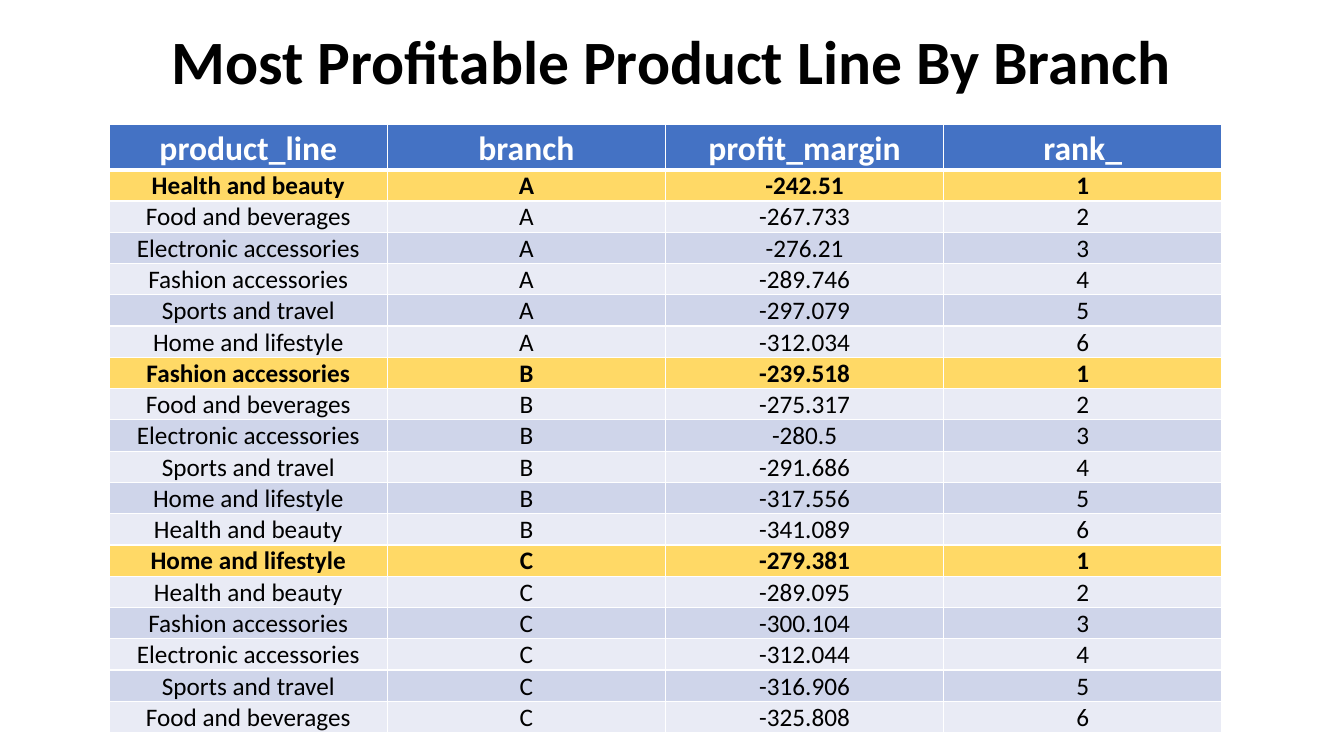
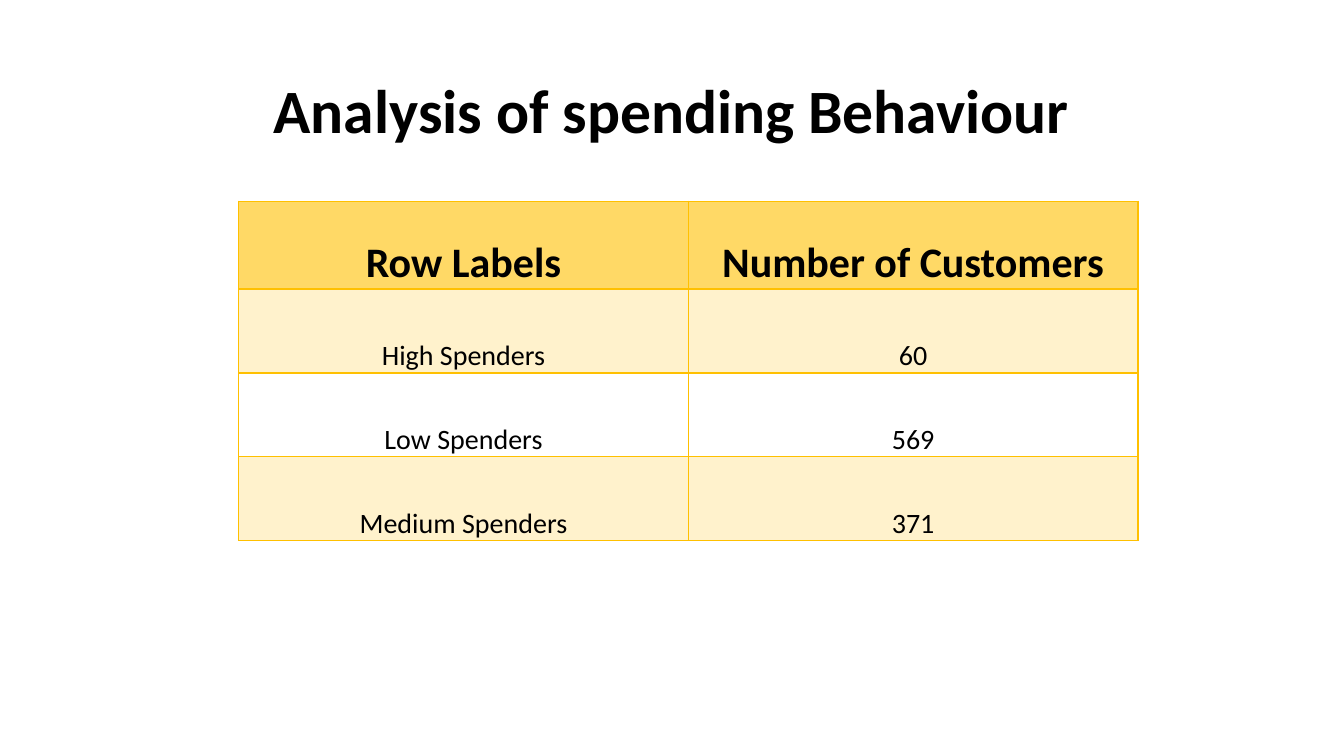
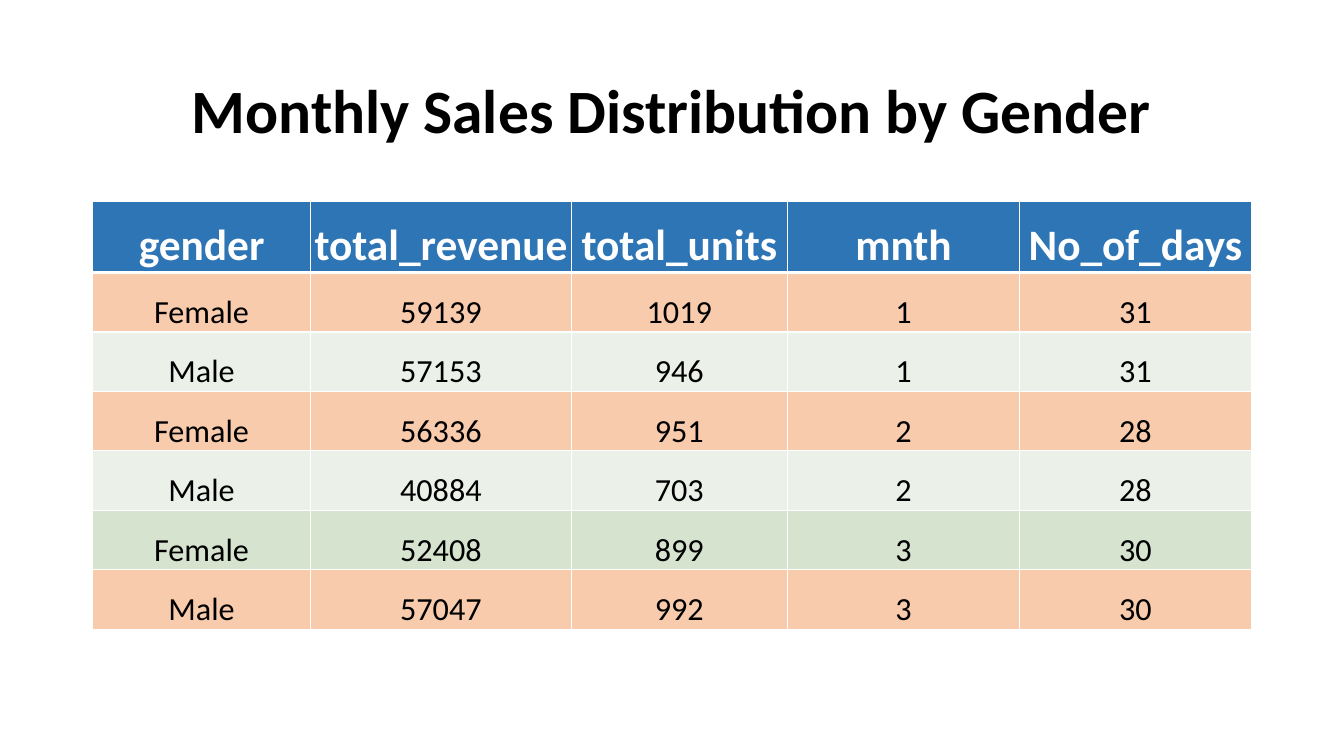
from dataclasses import dataclass
from typing import NamedTuple, Optional

from lxml import etree
from pptx import Presentation
from pptx.dml.color import RGBColor
from pptx.enum import text
from pptx.oxml import ns
from pptx.util import Pt

FONT = "Calibri"
BLACK = RGBColor(0x00, 0x00, 0x00)
WHITE = RGBColor(0xFF, 0xFF, 0xFF)
BLUE = RGBColor(0x44, 0x72, 0xC4)
DEEP_BLUE = RGBColor(0x2E, 0x75, 0xB6)
PALE_BLUE = RGBColor(0xE9, 0xEB, 0xF5)
SOFT_BLUE = RGBColor(0xCF, 0xD5, 0xEA)
GOLD = RGBColor(0xFF, 0xD9, 0x66)
AMBER = RGBColor(0xFF, 0xC0, 0x00)
PEACH = RGBColor(0xF8, 0xCB, 0xAD)
PALE_GREEN = RGBColor(0xEB, 0xF1, 0xE9)
SOFT_GREEN = RGBColor(0xD5, 0xE3, 0xCF)

TITLE_LEFT, TITLE_WIDTH = 66, 828
CELL_FORMAT = {
    "margin_left": Pt(0.72),
    "margin_right": Pt(0.72),
    "margin_top": Pt(0.72),
    "margin_bottom": Pt(0),
    "vertical_anchor": text.MSO_ANCHOR.BOTTOM,
}


class RowStyle(NamedTuple):
    fill: Optional[RGBColor]
    bold: bool = False
    opacity: int = 100


@dataclass
class TableSlide:
    title: str
    title_top: float
    title_height: float
    left: float
    top: float
    column_widths: list[float]
    header_height: float
    row_height: float
    header_fill: RGBColor
    header_color: RGBColor
    header_size: float
    body_size: float
    border: RGBColor
    header_rule: float
    header: list[str]
    rows: list[list[str]]
    row_styles: list[RowStyle]


BEST, PALE, SOFT = RowStyle(GOLD, bold=True), RowStyle(PALE_BLUE), RowStyle(SOFT_BLUE)
TINT, CLEAR = RowStyle(AMBER, opacity=20), RowStyle(None)
WARM, LIGHT, GREEN = RowStyle(PEACH), RowStyle(PALE_GREEN), RowStyle(SOFT_GREEN)

# Product lines of each branch, from most to least profitable
BRANCH_MARGINS = {
    "A": [
        ("Health and beauty", "-242.51"),
        ("Food and beverages", "-267.733"),
        ("Electronic accessories", "-276.21"),
        ("Fashion accessories", "-289.746"),
        ("Sports and travel", "-297.079"),
        ("Home and lifestyle", "-312.034"),
    ],
    "B": [
        ("Fashion accessories", "-239.518"),
        ("Food and beverages", "-275.317"),
        ("Electronic accessories", "-280.5"),
        ("Sports and travel", "-291.686"),
        ("Home and lifestyle", "-317.556"),
        ("Health and beauty", "-341.089"),
    ],
    "C": [
        ("Home and lifestyle", "-279.381"),
        ("Health and beauty", "-289.095"),
        ("Fashion accessories", "-300.104"),
        ("Electronic accessories", "-312.044"),
        ("Sports and travel", "-316.906"),
        ("Food and beverages", "-325.808"),
    ],
}

SLIDES = [
    TableSlide(
        title="Most Profitable Product Line By Branch",
        title_top=14.4, title_height=63.4,
        left=78, top=88.8, column_widths=[198.7] * 4,
        header_height=32.4, row_height=22.1,
        header_fill=BLUE, header_color=WHITE, header_size=24, body_size=18,
        border=WHITE, header_rule=3,
        header=["product_line", "branch", "profit_margin", "rank_"],
        rows=[
            [line, branch, margin, str(rank)]
            for branch, margins in BRANCH_MARGINS.items()
            for rank, (line, margin) in enumerate(margins, start=1)
        ],
        row_styles=[BEST, PALE, SOFT, PALE, SOFT, PALE] * len(BRANCH_MARGINS),
    ),
    TableSlide(
        title="Analysis of spending Behaviour",
        title_top=28.8, title_height=104.4,
        left=170.5, top=143.8, column_widths=[321.2] * 2,
        header_height=62.6, row_height=60,
        header_fill=GOLD, header_color=BLACK, header_size=30, body_size=20,
        border=AMBER, header_rule=2,
        header=["Row Labels", "Number of Customers"],
        rows=[
            ["High Spenders", "60"],
            ["Low Spenders", "569"],
            ["Medium Spenders", "371"],
        ],
        row_styles=[TINT, CLEAR, TINT],
    ),
    TableSlide(
        title="Monthly Sales Distribution by Gender",
        title_top=28.8, title_height=104.4,
        left=66, top=143.8, column_widths=[156, 186, 154.6, 165.7, 165.7],
        header_height=50.8, row_height=42.5,
        header_fill=DEEP_BLUE, header_color=WHITE, header_size=31, body_size=23,
        border=WHITE, header_rule=3,
        header=["gender", "total_revenue", "total_units", "mnth", "No_of_days"],
        rows=[
            ["Female", "59139", "1019", "1", "31"],
            ["Male", "57153", "946", "1", "31"],
            ["Female", "56336", "951", "2", "28"],
            ["Male", "40884", "703", "2", "28"],
            ["Female", "52408", "899", "3", "30"],
            ["Male", "57047", "992", "3", "30"],
        ],
        row_styles=[WARM, LIGHT, WARM, LIGHT, GREEN, WARM],
    ),
]


def write(paragraph, words: str, size: float, color: RGBColor, bold: bool) -> None:
    """Put one centred run into the paragraph."""
    paragraph.alignment = text.PP_ALIGN.CENTER
    run = paragraph.add_run()
    run.text = words
    for name, value in {"name": FONT, "size": Pt(size), "bold": bold}.items():
        setattr(run.font, name, value)
    run.font.color.rgb = color


def add_title(slide, spec_title: str, top: float, height: float) -> None:
    frame = slide.shapes.add_textbox(
        Pt(TITLE_LEFT), Pt(top), Pt(TITLE_WIDTH), Pt(height)).text_frame
    frame.word_wrap = True
    frame.vertical_anchor = text.MSO_ANCHOR.MIDDLE
    frame.paragraphs[0].line_spacing = 0.9
    write(frame.paragraphs[0], spec_title, 44, BLACK, True)


def set_borders(cell, color: RGBColor, top: float, bottom: float) -> None:
    """Draw all four sides; left and right are one point wide."""
    properties = cell._tc.get_or_add_tcPr()
    for side, width in {"lnL": 1, "lnR": 1, "lnT": top, "lnB": bottom}.items():
        line = etree.SubElement(properties, ns.qn(f"a:{side}"), w=str(Pt(width)))
        solid = etree.SubElement(line, ns.qn("a:solidFill"))
        etree.SubElement(solid, ns.qn("a:srgbClr"), val=str(color))


def set_fill(cell, style: RowStyle) -> None:
    if style.fill is None:
        cell.fill.background()
        return
    cell.fill.solid()
    cell.fill.fore_color.rgb = style.fill
    if style.opacity < 100:
        color = cell._tc.tcPr.find(ns.qn("a:solidFill")).find(ns.qn("a:srgbClr"))
        etree.SubElement(color, ns.qn("a:alpha"), val=str(style.opacity * 1000))


def add_table(slide, content: TableSlide) -> None:
    lines = [content.header, *content.rows]
    styles = [RowStyle(content.header_fill, bold=True), *content.row_styles]
    heights = [content.header_height] + [content.row_height] * len(content.rows)
    table = slide.shapes.add_table(
        len(lines), len(content.header), Pt(content.left), Pt(content.top),
        Pt(sum(content.column_widths)), Pt(sum(heights))).table
    table.first_row = True
    table.horz_banding = False
    for column, width in zip(table.columns, content.column_widths):
        column.width = Pt(width)

    for index, (row, values, style, height) in enumerate(
            zip(table.rows, lines, styles, heights)):
        row.height = Pt(height)
        is_header = index == 0
        size = content.header_size if is_header else content.body_size
        color = content.header_color if is_header else BLACK
        top = content.header_rule if index == 1 else 1
        bottom = content.header_rule if is_header else 1
        for cell, value in zip(row.cells, values):
            for name, setting in CELL_FORMAT.items():
                setattr(cell, name, setting)
            set_borders(cell, content.border, top, bottom)
            set_fill(cell, style)
            write(cell.text_frame.paragraphs[0], value, size, color, style.bold)


def main() -> None:
    deck = Presentation()
    deck.slide_width, deck.slide_height = Pt(960), Pt(540)
    blank = deck.slide_layouts[6]
    for content in SLIDES:
        slide = deck.slides.add_slide(blank)
        add_title(slide, content.title, content.title_top, content.title_height)
        add_table(slide, content)
    deck.save("out.pptx")


if __name__ == "__main__":
    main()
